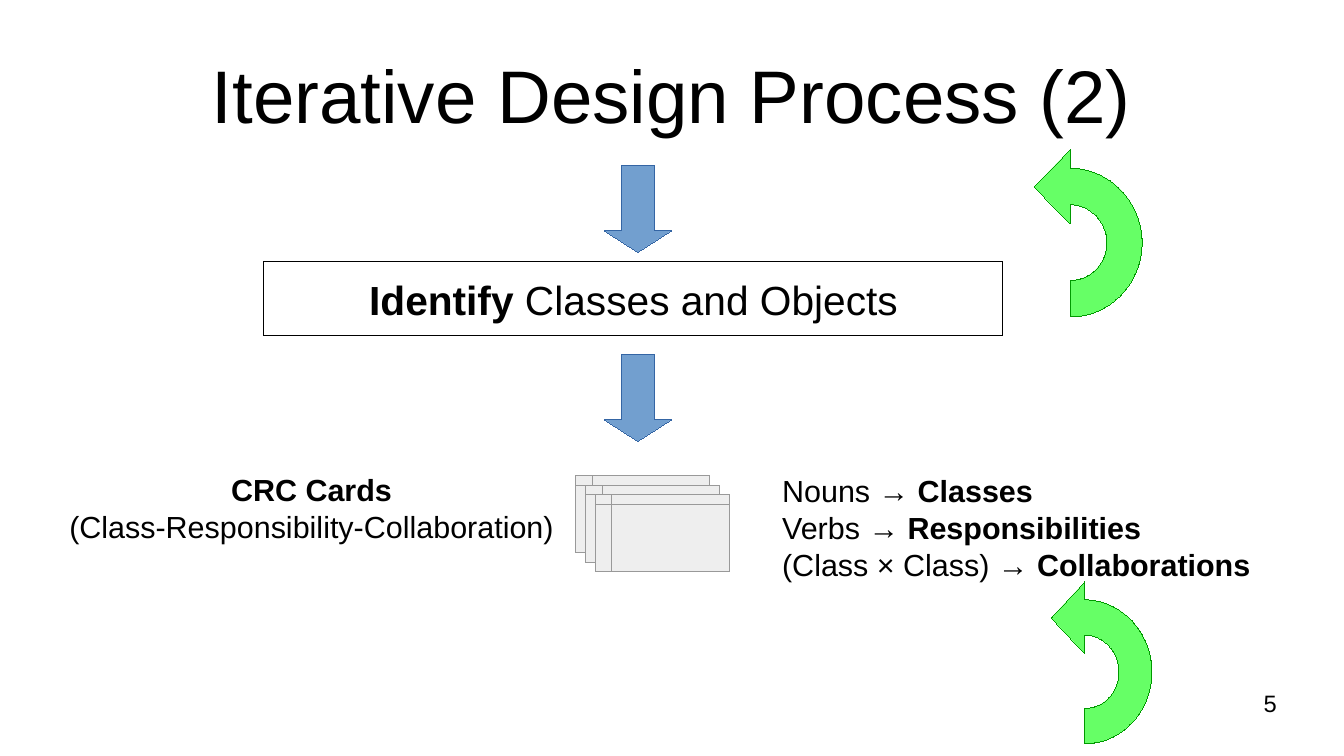
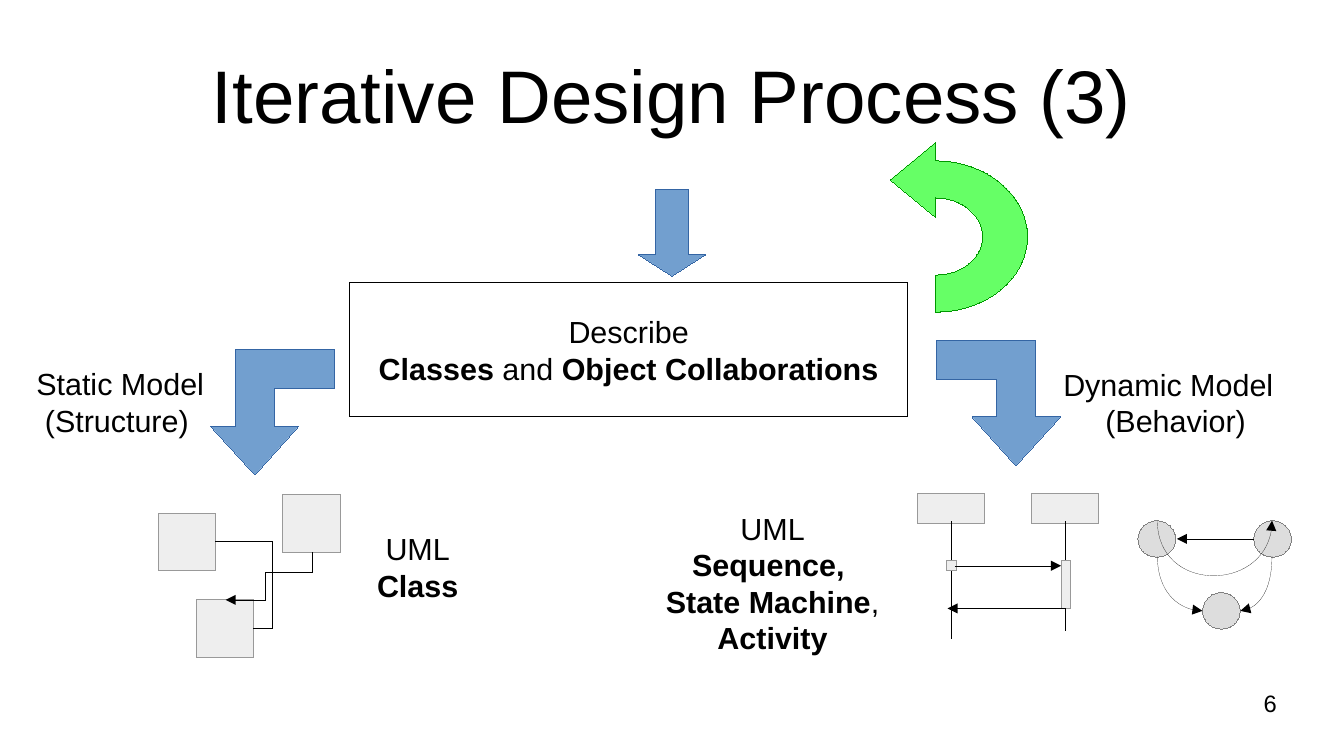
import pptx
import pptx.dml.color
import pptx.enum.shapes
import pptx.enum.text
import pptx.oxml
import pptx.oxml.ns
import pptx.util
from lxml import etree

RGB = pptx.dml.color.RGBColor
SHAPE = pptx.enum.shapes.MSO_SHAPE
LINK = pptx.enum.shapes.MSO_CONNECTOR
ALIGN = pptx.enum.text.PP_ALIGN
ANCHOR = pptx.enum.text.MSO_ANCHOR
qn = pptx.oxml.ns.qn

BLACK = RGB(0x00, 0x00, 0x00)
WHITE = RGB(0xFF, 0xFF, 0xFF)
BLUE = RGB(0x72, 0x9F, 0xCF)
BLUE_EDGE = RGB(0x34, 0x65, 0xA4)
GREEN = RGB(0x66, 0xFF, 0x66)
GREEN_EDGE = RGB(0x00, 0x99, 0x00)
PALE = RGB(0xEE, 0xEE, 0xEE)
PALE_EDGE = RGB(0x99, 0x99, 0x99)
STATE = RGB(0xDD, 0xDD, 0xDD)
STATE_EDGE = RGB(0x80, 0x80, 0x80)

FONT = "Arial"
COLS, ROWS = 110.2, 62
CELL = pptx.util.Inches(0.1)
HALF_CIRCLE = [(0, 1), (0.55, 1), (1, 0.55), (1, 0), (1, -0.55), (0.55, -1), (0, -1)]


def grid(*cells):
    return [round(c * CELL) for c in cells]


def write(tf, text, size=18, align=ALIGN.CENTER, anchor=ANCHOR.TOP,
          margins=(1, 0.5), indents=()):
    tf.word_wrap = True
    tf.vertical_anchor = anchor
    tf.margin_left = tf.margin_right = grid(margins[0])[0]
    tf.margin_top = tf.margin_bottom = grid(margins[1])[0]
    for i, line in enumerate(text.split("\n")):
        p = tf.add_paragraph() if i else tf.paragraphs[0]
        p.alignment = align
        if i < len(indents):
            p._p.get_or_add_pPr().set("marL", str(grid(indents[i])[0]))
        for j, part in enumerate(line.split("**")):
            if part:
                r = p.add_run()
                r.text = part
                r.font.name = FONT
                r.font.size = pptx.util.Pt(size)
                r.font.bold = j % 2 == 1
                r.font.color.rgb = BLACK


def label(s, box, text, **fmt):
    write(s.shapes.add_textbox(*grid(*box)).text_frame, text, **fmt)


def outline(sp, edge, arrow=False):
    sp.line.color.rgb = edge
    ln = sp.line._get_or_add_ln()
    ln.set("w", "0")
    if arrow:
        etree.SubElement(ln, qn("a:tailEnd")).set("type", "triangle")


def paint(sp, fill, edge):
    sp.shadow.inherit = False
    sp.fill.solid()
    sp.fill.fore_color.rgb = fill
    outline(sp, edge)
    return sp


def shape(s, kind, box, fill=PALE, edge=PALE_EDGE):
    return paint(s.shapes.add_shape(kind, *grid(*box)), fill, edge)


def connector(s, start, end, kind=LINK.STRAIGHT, arrow=False):
    c = s.shapes.add_connector(kind, *grid(*start, *end))
    outline(c, BLACK, arrow)
    etree.SubElement(c.element.spPr, qn("a:effectLst"))
    return c


def freeform(s, points, close=True, curves=()):
    points = [grid(*pt) for pt in points]
    fb = s.shapes.build_freeform(*points[0])
    fb.add_line_segments(points[1:], close=close)
    sp = fb.convert_to_shape()
    segments = list(sp.element.iter(qn("a:lnTo")))
    for first in curves:
        group = segments[first - 1:first + 2]
        bezier = etree.Element(qn("a:cubicBezTo"))
        group[0].addprevious(bezier)
        for segment in group:
            bezier.append(segment[0])
            segment.getparent().remove(segment)
    return sp


def arrow_path(s, points, curves=()):
    sp = freeform(s, points, close=False, curves=curves)
    sp.shadow.inherit = False
    sp.fill.background()
    outline(sp, BLACK, arrow=True)


def return_arrow(s, cx, cy, rx, ry):
    inner = [(x * 0.51, y * 0.51) for x, y in HALF_CIRCLE[::-1]]
    head = [(0, -1.25), (-0.5, -0.75), (0, -0.25)]
    points = [(cx + x * rx, cy + y * ry) for x, y in inner + HALF_CIRCLE + head]
    paint(freeform(s, points, curves=(1, 4, 8, 11)), GREEN, GREEN_EDGE)


def turn_arrow(s, x, y, side):
    steps = [(0, 0), (8.15, 0), (8.15, 6.25), (10.2, 6.25), (6.55, 10.25),
             (2.95, 6.25), (4.95, 6.25), (4.95, 3.2), (0, 3.2)]
    paint(freeform(s, [(x + side * dx, y + dy) for dx, dy in steps]), BLUE, BLUE_EDGE)


def down_arrow(s, x, y):
    sp = shape(s, SHAPE.DOWN_ARROW, (x, y, 5.5, 7.1), BLUE, BLUE_EDGE)
    sp.adjustments[0], sp.adjustments[1] = 0.5, 0.32


def step_box(s, box, text, size):
    sp = shape(s, SHAPE.RECTANGLE, box, WHITE, BLACK)
    write(sp.text_frame, text, size=size, anchor=ANCHOR.MIDDLE)


def new_slide(prs, title, number):
    s = prs.slides.add_slide(prs.slide_layouts[5])
    t = s.shapes.title
    t.left, t.top, t.width, t.height = grid(5.5, 2.5, 99.2, 10.4)
    write(t.text_frame, title, size=44, anchor=ANCHOR.MIDDLE, margins=(0, 0))
    label(s, (79, 56.5, 25.7, 4.3), str(number), size=14, align=ALIGN.RIGHT,
          margins=(0, 0))
    return s


def card_stack(s):
    g = s.shapes.add_group_shape()
    for i in range(3):
        shape(g, SHAPE.FLOWCHART_INTERNAL_STORAGE,
              (47.2 + 0.8 * i, 39 + 0.8 * i, 11, 6.3))


def class_diagram(s):
    g = s.shapes.add_group_shape()
    left, low, right = [shape(g, SHAPE.RECTANGLE, (x, y, 4.7, 4.7))
                        for x, y in ((13, 42.1), (16.1, 49.2), (23.2, 40.6))]
    c = connector(g, (17.7, 44.5), (20.9, 51.6), LINK.ELBOW)
    c.begin_connect(left, 3)
    c.end_connect(low, 3)
    guide = etree.SubElement(c.element.spPr.prstGeom.get_or_add_avLst(), qn("a:gd"))
    guide.set("name", "adj1")
    guide.set("fmla", "val 150000")
    arrow_path(g, [(25.6, 45.3), (25.6, 46.9), (21.7, 46.9), (21.7, 49.2), (18.5, 49.2)])


def sequence_diagram(s):
    g = s.shapes.add_group_shape()
    for x, bottom in ((78, 52.4), (87.4, 51.7)):
        shape(g, SHAPE.RECTANGLE, (x - 2.8, 40.5, 5.5, 2.4))
        connector(g, (x, 42.8), (x, bottom))
    shape(g, SHAPE.RECTANGLE, (77.6, 46, 0.8, 0.8))
    connector(g, (78.3, 46.4), (87, 46.4), arrow=True)
    shape(g, SHAPE.RECTANGLE, (87, 46, 0.8, 3.9))
    connector(g, (87.4, 49.9), (77.7, 49.9), arrow=True)


def state_diagram(s):
    g = s.shapes.add_group_shape()
    for x, y in ((93.3, 42.7), (102.8, 42.7), (98.6, 48.6)):
        shape(g, SHAPE.OVAL, (x, y, 3.1, 3), STATE, STATE_EDGE)
    for transition in (
            [(94.9, 45.6), (94.9, 48), (96.4, 50.1), (98.6, 50.1)],
            [(94.9, 42.7), (94.9, 48.6), (104.3, 48.6), (104.3, 42.7)],
            [(104.3, 45.6), (104.3, 48), (103.2, 50.1), (101.7, 50.1)]):
        arrow_path(g, transition, curves=(1,))
    connector(g, (102.8, 44.2), (96.5, 44.2), arrow=True)


def identify_slide(prs):
    s = new_slide(prs, "Iterative Design Process (2)", 5)
    step_box(s, (21.65, 21.45, 60.6, 6.1), "**Identify** Classes and Objects", 24)
    for y in (13.6, 29.1):
        down_arrow(s, 49.55, y)
    return_arrow(s, 87.75, 19.9, 5.9, 6.1)
    return_arrow(s, 88.95, 55.1, 5.5, 5.9)
    label(s, (3.9, 38.15, 43.3, 7.1),
          "**CRC Cards**\n(Class-Responsibility-Collaboration)")
    card_stack(s)
    label(s, (63.15, 38.25, 43, 9.4),
          "Nouns → **Classes**\nVerbs → **Responsibilities**\n"
          "(Class × Class) → **Collaborations**", align=ALIGN.LEFT)


def describe_slide(prs):
    s = new_slide(prs, "Iterative Design Process (3)", 6)
    down_arrow(s, 52.35, 15.55)
    return_arrow(s, 76.75, 19.4, 7.5, 6.2)
    step_box(s, (28.7, 23.2, 45.7, 11),
             "Describe\n**Classes** and **Object Collaborations**", 18)
    turn_arrow(s, 27.45, 28.7, -1)
    turn_arrow(s, 76.75, 27.95, 1)
    label(s, (2, 29.45, 16, 6.6), "Static Model\n(Structure)",
          align=ALIGN.LEFT, indents=(0, 0.7))
    label(s, (86.2, 29.5, 20.7, 6.6), "Dynamic Model\n(Behavior)",
          align=ALIGN.LEFT, indents=(0, 3.45))
    class_diagram(s)
    label(s, (24.4, 43, 19.7, 6.6), "UML\n**Class**")
    label(s, (51.55, 41.3, 23.6, 12.5),
          "UML\n**Sequence, **\n**State Machine**,\n**Activity**")
    sequence_diagram(s)
    state_diagram(s)


def main():
    prs = pptx.Presentation()
    prs.slide_width, prs.slide_height = grid(COLS, ROWS)
    identify_slide(prs)
    describe_slide(prs)
    prs.save("out.pptx")


if __name__ == "__main__":
    main()
